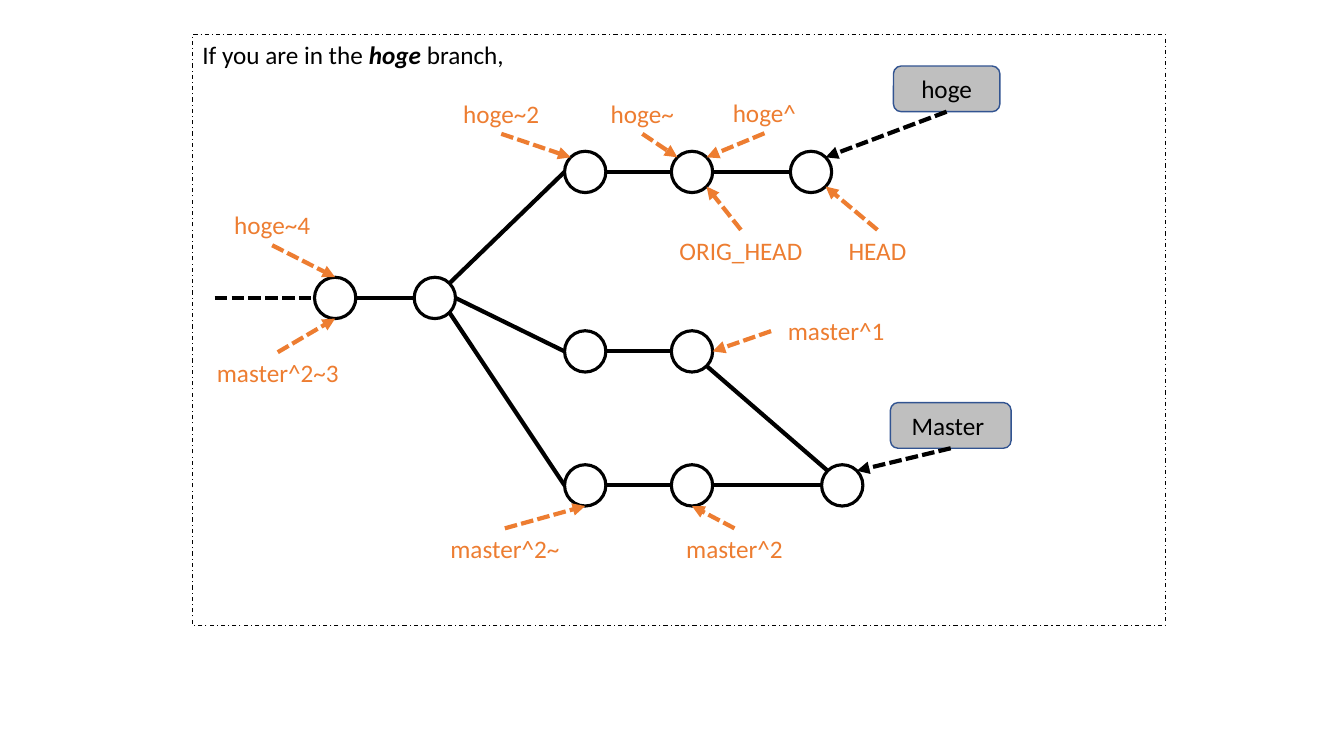
from dataclasses import dataclass
from math import cos, radians, sin

from lxml.etree import SubElement
from pptx import Presentation
from pptx.dml.color import RGBColor
from pptx.enum.dml import MSO_LINE as Dash
from pptx.enum.shapes import MSO_CONNECTOR as Connector, MSO_SHAPE as Shape
from pptx.enum.text import MSO_ANCHOR as Anchor, PP_ALIGN as Align
from pptx.oxml.ns import qn
from pptx.util import Pt


@dataclass(frozen=True)
class Theme:
    font: str = "Calibri"
    text_size: float = 18
    ink: str = "000000"
    paper: str = "FFFFFF"
    reference: str = "ED7D31"
    branch_fill: str = "BFBFBF"
    branch_line: str = "325491"
    frame_width: float = 0.75
    branch_width: float = 1
    commit_width: float = 2.25
    edge_width: float = 3


THEME = Theme()
DIAMETER = 29.5
LABEL_HEIGHT = 29
BRANCH_HEIGHT = 32.6
ANGLES = {"E": 0, "SE": 45, "S": 90, "SW": 135, "W": 180, "NW": 225, "N": 270, "NE": 315}

# Centre of each commit
TOP, TRUNK, MIDDLE, BOTTOM = 122.8, 212.8, 251, 346.7
FIRST, SECOND = 418, 494.3
COMMITS = {
    "root": (239.4, TRUNK), "fork": (310.6, TRUNK),
    "hoge 1": (FIRST, TOP), "hoge 2": (SECOND, TOP), "hoge 3": (579.3, TOP),
    "middle 1": (FIRST, MIDDLE), "middle 2": (SECOND, MIDDLE),
    "bottom 1": (FIRST, BOTTOM), "bottom 2": (SECOND, BOTTOM),
    "merge": (601.6, BOTTOM),
}

# Commit and side where each edge starts and ends
EDGES = [
    ("root", "E", "fork", "W"),
    ("fork", "NE", "hoge 1", "W"),
    ("fork", "E", "middle 1", "W"),
    ("fork", "SE", "bottom 1", "W"),
    ("hoge 1", "E", "hoge 2", "W"),
    ("hoge 2", "E", "hoge 3", "W"),
    ("middle 1", "E", "middle 2", "W"),
    ("bottom 1", "E", "bottom 2", "W"),
    ("bottom 2", "E", "merge", "W"),
    ("middle 2", "SE", "merge", "NW"),
]

# Text, left, top, width, side the arrow leaves, commit and side it reaches
REFERENCES = [
    ("hoge~4", 142.6, 146.2, 103.7, "S", "root", "N"),
    ("master^2~3", 142.6, 251.6, 111.6, "N", "root", "S"),
    ("hoge~2", 306.2, 66.6, 103.7, "S", "hoge 1", "NW"),
    ("hoge~", 407, 66.6, 103.7, "S", "hoge 2", "NW"),
    ("hoge^", 494.2, 66.2, 103.7, "S", "hoge 2", "NE"),
    ("ORIG_HEAD", 477.4, 164.2, 103.7, "N", "hoge 2", "SE"),
    ("HEAD", 591.1, 164.2, 71.3, "N", "hoge 3", "SE"),
    ("master^1", 550.8, 222, 92.9, "W", "middle 2", "E"),
    ("master^2~", 314.2, 377.4, 92.9, "N", "bottom 1", "S"),
    ("master^2", 478.2, 377.4, 92.9, "N", "bottom 2", "S"),
]
BRANCHES = [
    ("hoge", 638.2, 47.2, 76, "hoge 3"),
    ("Master ", 636, 287.6, 86.2, "merge"),
]


def color(value):
    return RGBColor.from_string(value)


def write(shape, runs, ink, alignment):
    """Fill a shape with one paragraph of (text, emphasised) runs."""
    paragraph = shape.text_frame.paragraphs[0]
    paragraph.alignment = alignment
    paragraph.font.name = THEME.font
    paragraph.font.size = Pt(THEME.text_size)
    paragraph.font.color.rgb = color(ink)
    for text, emphasised in runs:
        run = paragraph.add_run()
        run.text = text
        if emphasised:
            run.font.bold = run.font.italic = True


def add_outline(slide, kind, left, top, width, height, fill, line, line_width):
    shape = slide.shapes.add_shape(kind, Pt(left), Pt(top), Pt(width), Pt(height))
    shape.shadow.inherit = False
    if fill:
        shape.fill.solid()
        shape.fill.fore_color.rgb = color(fill)
    else:
        shape.fill.background()
    shape.line.color.rgb = color(line)
    shape.line.width = Pt(line_width)
    return shape


def add_frame(slide):
    frame = add_outline(slide, Shape.RECTANGLE, 137.5, 24.6, 695, 422,
                        None, THEME.ink, THEME.frame_width)
    frame.line.dash_style = Dash.DASH_DOT
    frame.text_frame.word_wrap = True
    frame.text_frame.vertical_anchor = Anchor.TOP
    write(frame, [("If you are in the ", False), ("hoge", True), (" branch,", False)],
          THEME.ink, Align.LEFT)


def add_commit(slide, center_x, center_y):
    radius = DIAMETER / 2
    return add_outline(slide, Shape.OVAL, center_x - radius, center_y - radius,
                       DIAMETER, DIAMETER, THEME.paper, THEME.ink, THEME.commit_width)


def add_branch(slide, text, left, top, width):
    shape = add_outline(slide, Shape.ROUNDED_RECTANGLE, left, top, width, BRANCH_HEIGHT,
                        THEME.branch_fill, THEME.branch_line, THEME.branch_width)
    shape.text_frame.vertical_anchor = Anchor.MIDDLE
    write(shape, [(text, False)], THEME.ink, Align.CENTER)
    return shape


def add_reference(slide, text, left, top, width):
    label = slide.shapes.add_textbox(Pt(left), Pt(top), Pt(width), Pt(LABEL_HEIGHT))
    label.text_frame.word_wrap = True
    write(label, [(text, False)], THEME.reference, Align.CENTER)
    return label


def site(shape, side):
    """Point on a shape's edge in the given compass direction."""
    angle = radians(ANGLES[side])
    return (round(shape.left + shape.width / 2 * (1 + cos(angle))),
            round(shape.top + shape.height / 2 * (1 + sin(angle))))


def add_line(slide, start, end, ink=THEME.ink, dashed=False, arrow=False):
    line = slide.shapes.add_connector(Connector.STRAIGHT, *start, *end)
    line.line.color.rgb = color(ink)
    line.line.width = Pt(THEME.edge_width)
    if dashed:
        line.line.dash_style = Dash.SQUARE_DOT
    if arrow:
        SubElement(line.line._get_or_add_ln(), qn("a:tailEnd"), type="triangle")
    SubElement(line._element.spPr, qn("a:effectLst"))


def main():
    presentation = Presentation()
    presentation.slide_width, presentation.slide_height = Pt(960), Pt(540)
    slide = presentation.slides.add_slide(presentation.slide_layouts[6])
    add_frame(slide)

    # Commit graph
    commits = {name: add_commit(slide, *center) for name, center in COMMITS.items()}
    for source, source_side, target, target_side in EDGES:
        add_line(slide, site(commits[source], source_side), site(commits[target], target_side))

    # Earlier history
    add_line(slide, (Pt(153.4), Pt(TRUNK)), site(commits["root"], "W"), dashed=True)

    # Branch tags
    for text, left, top, width, commit in BRANCHES:
        branch = add_branch(slide, text, left, top, width)
        add_line(slide, site(branch, "S"), site(commits[commit], "NE"),
                 dashed=True, arrow=True)

    # Relative references
    for text, left, top, width, side, commit, commit_side in REFERENCES:
        label = add_reference(slide, text, left, top, width)
        add_line(slide, site(label, side), site(commits[commit], commit_side),
                 THEME.reference, dashed=True, arrow=True)

    presentation.save("out.pptx")


main()
